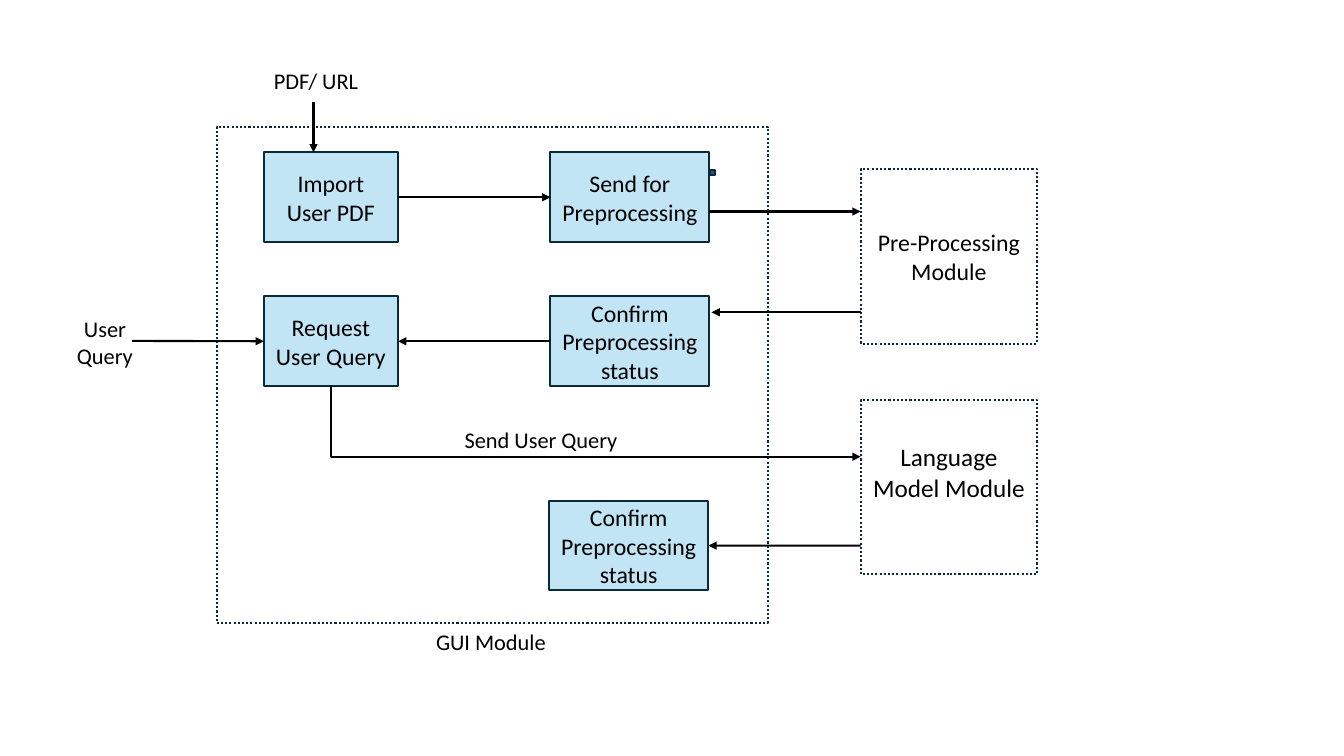
from lxml.etree import SubElement
from pptx import Presentation
from pptx.dml.color import RGBColor
from pptx.enum.dml import MSO_LINE
from pptx.enum.shapes import MSO_CONNECTOR, MSO_SHAPE
from pptx.enum.text import MSO_ANCHOR, MSO_AUTO_SIZE, PP_ALIGN
from pptx.oxml.ns import qn
from pptx.util import Cm, Pt

LEFT, RIGHT = 1, 3


def color(hex_value):
    return RGBColor.from_string(hex_value)


class Diagram:
    font = "Calibri"
    ink = "000000"
    border = "092A39"
    step_fill = "C1E5F5"
    frame_fill = "FFFFFF"
    line_width = Pt(1.5)

    def __init__(self, page):
        self.page = page

    def fill_text(self, frame, text, size, align):
        frame.word_wrap = True
        frame.text = text
        para = frame.paragraphs[0]
        para.alignment = align
        for span in para.runs:
            span.font.name = self.font
            span.font.size = Pt(size)
            span.font.color.rgb = color(self.ink)

    def box(self, left, top, width, height, fill, text="", size=17):
        box = self.page.shapes.add_shape(
            MSO_SHAPE.RECTANGLE, Cm(left), Cm(top), Cm(width), Cm(height))
        box.shadow.inherit = False
        box.fill.solid()
        box.fill.fore_color.rgb = color(fill)
        box.line.color.rgb = color(self.border)
        box.line.width = self.line_width
        if text:
            box.text_frame.vertical_anchor = MSO_ANCHOR.MIDDLE
            self.fill_text(box.text_frame, text, size, PP_ALIGN.CENTER)
        return box

    def step(self, left, top, width, text):
        return self.box(left, top, width, 2.26, self.step_fill, text)

    def module(self, left, top, width, height, text="", size=17):
        box = self.box(left, top, width, height, self.frame_fill, text, size)
        box.line.dash_style = MSO_LINE.ROUND_DOT
        return box

    def label(self, left, top, width, height, text, align=PP_ALIGN.LEFT):
        label = self.page.shapes.add_textbox(Cm(left), Cm(top), Cm(width), Cm(height))
        self.fill_text(label.text_frame, text, 16, align)
        label.text_frame.auto_size = MSO_AUTO_SIZE.SHAPE_TO_FIT_TEXT

    def arrow(self, start, end, begin=None, finish=None, kind=MSO_CONNECTOR.STRAIGHT):
        arrow = self.page.shapes.add_connector(kind, *map(Cm, start + end))
        if begin:
            arrow.begin_connect(*begin)
        if finish:
            arrow.end_connect(*finish)
        arrow.line.color.rgb = color(self.ink)
        arrow.line.width = self.line_width
        properties = arrow._element.spPr
        SubElement(properties.find(qn("a:ln")), qn("a:tailEnd"), type="triangle")
        SubElement(properties, qn("a:effectLst"))
        return arrow

    def corner_arrow(self, start, end):
        (x1, y1), (x2, y2) = start, end
        across, down = x2 - x1, y2 - y1
        left = (x1 + x2 - down) / 2
        top = (y1 + y2 - across) / 2
        arrow = self.arrow((left, top), (left + down, top + across),
                           kind=MSO_CONNECTOR.ELBOW)
        properties = arrow._element.spPr
        properties.find(qn("a:prstGeom")).set("prst", "bentConnector2")
        transform = properties.find(qn("a:xfrm"))
        transform.set("rot", "16200000")
        transform.set("flipH", "1")


def main():
    deck = Presentation()
    deck.slide_width, deck.slide_height = Cm(33.87), Cm(19.05)
    diagram = Diagram(deck.slides.add_slide(deck.slide_layouts[6]))

    user_x, system_x, module_x = 6.65, 13.87, 21.69
    user_width, system_width = 3.38, 4.01
    user_right, system_right = user_x + user_width, system_x + system_width
    import_y, query_y, answer_y = 3.84, 7.47, 12.62
    import_mid, query_mid, answer_mid = (y + 1.13 for y in (import_y, query_y, answer_y))

    diagram.module(5.46, 3.2, 13.89, 12.5)
    import_step = diagram.step(user_x, import_y, user_width, "Import User PDF")
    send_step = diagram.step(system_x, import_y, system_width, "Send for Preprocessing")
    confirm_step = diagram.step(system_x, query_y, system_width,
                                "Confirm Preprocessing status")
    request_step = diagram.step(user_x, query_y, user_width, "Request User Query")
    answer_step = diagram.step(system_x - 0.03, answer_y, system_width,
                               "Confirm Preprocessing status")
    diagram.box(system_right, 4.29, 0.13, 0.13, "156082")
    diagram.module(module_x, 4.27, 4.45, 4.39, "Pre-Processing Module")
    language = diagram.module(module_x, 10.08, 4.45, 4.39, "Language Model Module", 18)
    language.text_frame.margin_bottom = Cm(0.89)

    diagram.label(1.17, 7.82, 2.95, 1.63, "User Query", PP_ALIGN.CENTER)
    diagram.label(user_x, 1.57, user_width, 0.94, "PDF/ URL")
    diagram.label(11.46, 10.62, 4.78, 0.94, "Send User Query")
    diagram.label(10.74, 15.7, 7.77, 0.94, "GUI Module")

    diagram.arrow((3.33, 8.59), (user_x, query_mid), finish=(request_step, LEFT))
    diagram.arrow((7.9, 2.57), (7.9, import_y))
    diagram.arrow((user_right, import_mid), (system_x, import_mid),
                  (import_step, RIGHT), (send_step, LEFT))
    diagram.arrow((system_x, query_mid), (user_right, query_mid),
                  (confirm_step, LEFT), (request_step, RIGHT))
    diagram.arrow((system_right, 5.33), (module_x, 5.33))
    diagram.arrow((module_x, 7.87), (17.93, 7.87))
    diagram.arrow((module_x, answer_mid), (system_right, answer_mid),
                  finish=(answer_step, RIGHT))
    diagram.corner_arrow((user_x + user_width / 2, query_y + 2.26), (module_x, 11.51))

    deck.save("out.pptx")


if __name__ == "__main__":
    main()
